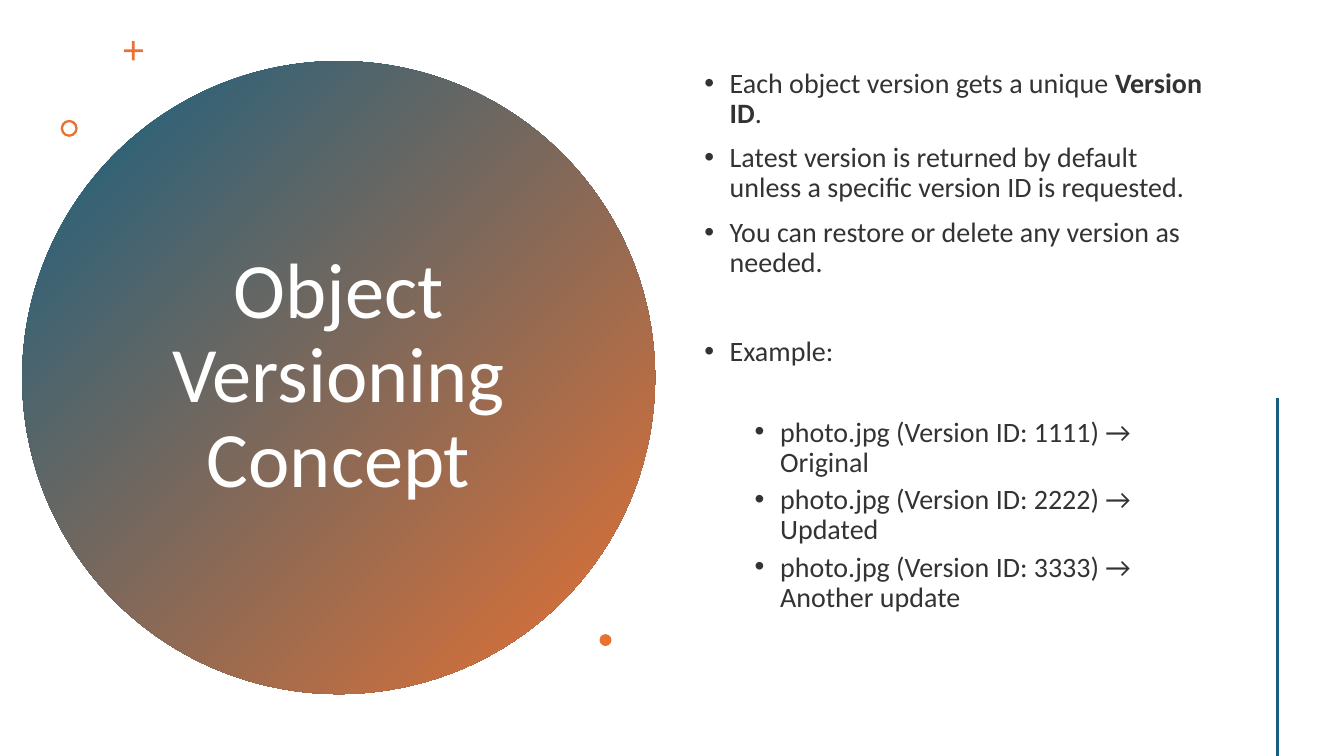
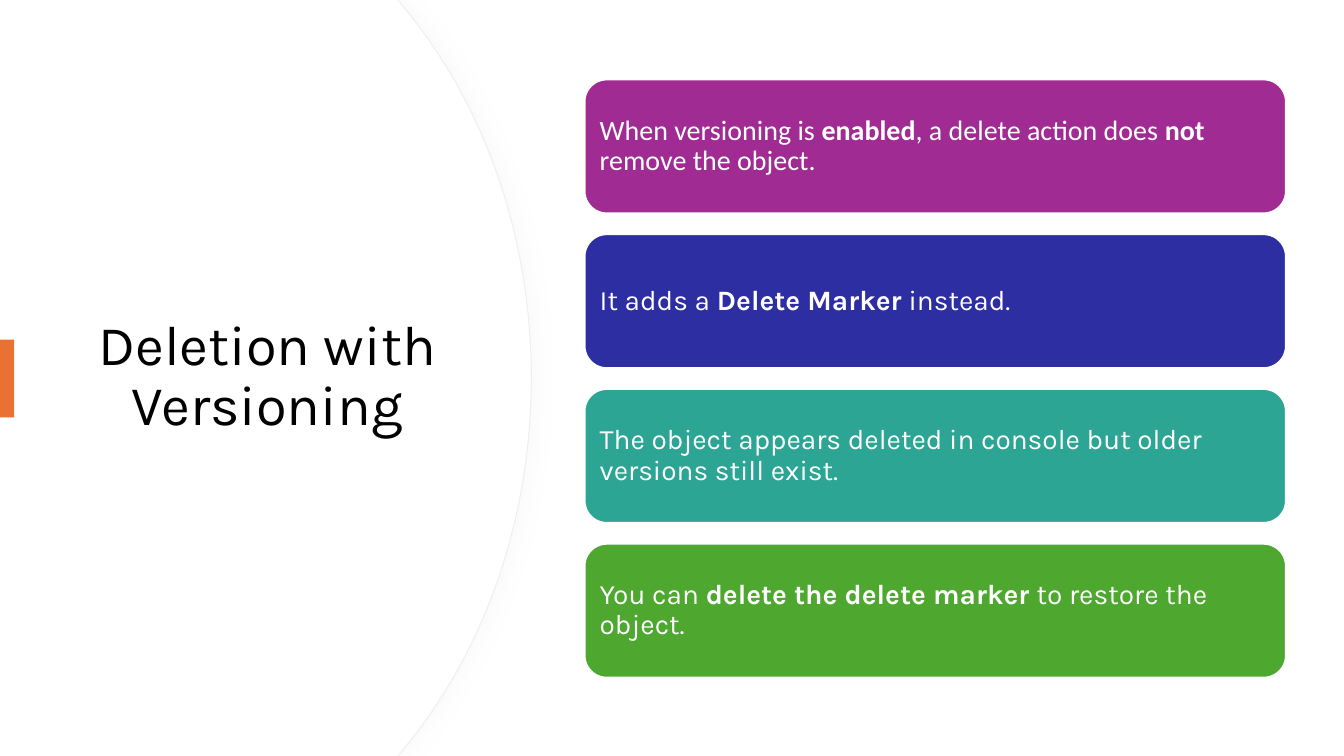
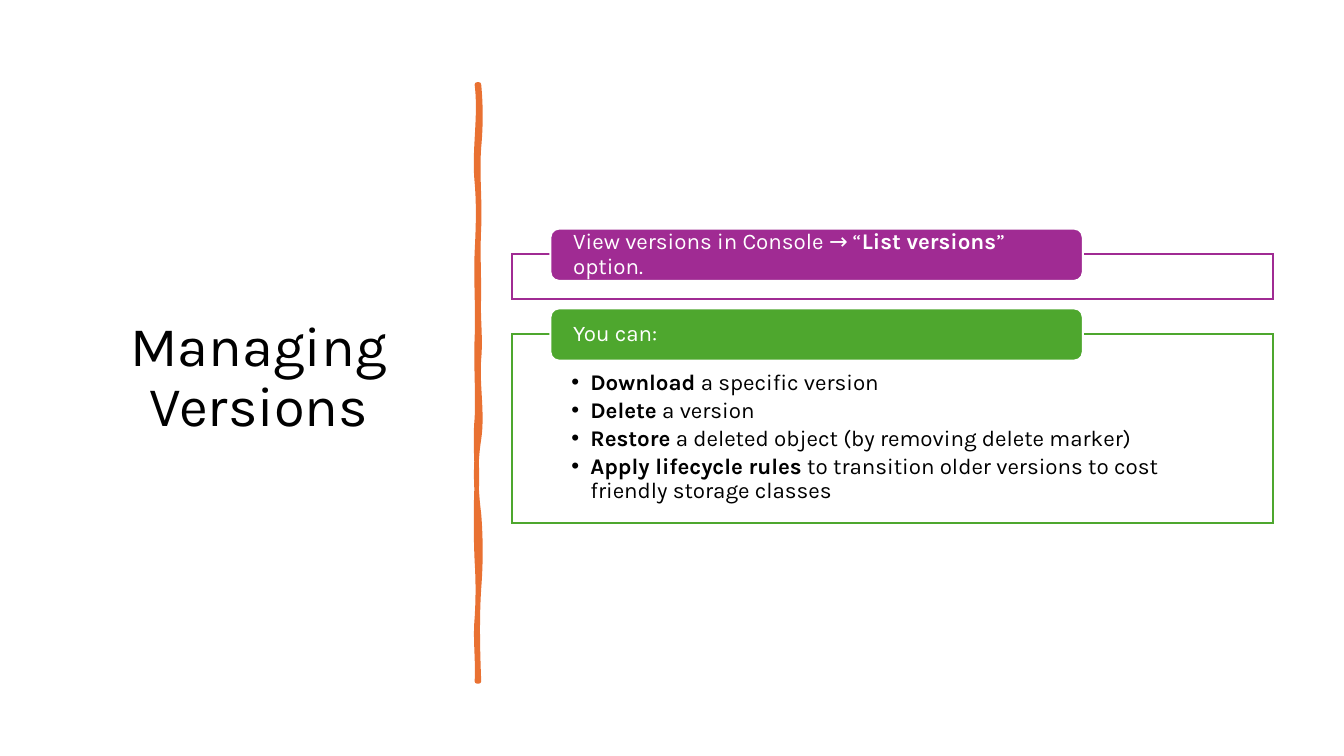
from lxml.etree import SubElement
from pptx import Presentation
from pptx.dml.color import RGBColor
from pptx.enum.shapes import MSO_CONNECTOR, MSO_SHAPE
from pptx.enum.text import MSO_ANCHOR, PP_ALIGN
from pptx.oxml.ns import qn
from pptx.util import Cm, Pt

COLORS = {
    "white": "FFFFFF", "black": "000000", "body": "333333",
    "blue": "156082", "orange": "E97132", "purple": "A02B93",
    "indigo": "2C2EA2", "teal": "2DA594", "green": "4EA72E",
    "edge": "EFEFEF", "shade": "D9D9D9",
}
WIDTH, HEIGHT = 33.87, 19.05

CONCEPT_TITLE = "Object Versioning Concept"
CONCEPT_POINTS = [
    ("Each object version gets a unique **Version ID**.", 0, 0),
    ("Latest version is returned by default unless a specific version ID is requested.", 0, 10),
    ("You can restore or delete any version as needed.", 0, 10),
    ("Example:", 0, 42),
    ("photo.jpg (Version ID: 1111) → Original", 1, 36),
    ("photo.jpg (Version ID: 2222) → Updated", 1, 5),
    ("photo.jpg (Version ID: 3333) → Another update", 1, 5),
]

DELETION_TITLE = "Deletion with Versioning"
DELETION_CARDS = [
    ("When versioning is **enabled**, a delete action does **not** remove the object.", "purple", "Calibri"),
    ("It adds a **Delete Marker** instead.", "indigo", "Karla"),
    ("The object appears deleted in console but older versions still exist.", "teal", "Karla"),
    ("You can **delete the delete marker** to restore the object.", "green", "Karla"),
]
ARC_START = (10.19, 0.2)
ARC_CURVE = [(12.17, 2.59), (13.39, 5.89), (13.39, HEIGHT / 2)]

MANAGING_TITLE = "Managing Versions"
MANAGING_GROUPS = [
    ("View versions in Console → “**List versions**” option.", "purple", 6.41, 1.13, []),
    ("You can:", "green", 8.42, 4.76, [
        "**Download** a specific version",
        "**Delete** a version",
        "**Restore** a deleted object (by removing delete marker)",
        "**Apply lifecycle rules** to transition older versions to cost friendly storage classes",
    ]),
]
BRUSH_TOP, BRUSH_BOTTOM = 2.13, 17.17
BRUSH_EDGES = [
    (12.07, BRUSH_TOP, [
        (0.05, 0.05, 3.71), (-0.05, 0.03, 5.74), (-0.03, 0, 7.47), (-0.03, 0.05, 9.04),
        (-0.05, 0.1, 11.07), (-0.1, -0.08, 12.95), (0.05, 0.05, 14.83), (-0.05, -0.03, BRUSH_BOTTOM),
    ]),
    (12.02, BRUSH_BOTTOM, [
        (0.03, -0.05, 15.57), (0.03, 0.03, 14.15), (-0.03, -0.03, 12.12), (0, -0.05, 10.54),
        (0.03, -0.03, 8.51), (0.03, -0.03, 6.35), (0.03, 0.05, 4.6), (-0.08, 0.1, BRUSH_TOP),
    ]),
]


def rgb(name):
    return RGBColor.from_string(COLORS[name])


def paint(shape, fill, line=None, width=1.5, join="a:miter"):
    shape.shadow.inherit = False
    shape.fill.solid()
    shape.fill.fore_color.rgb = rgb(fill)
    if line:
        shape.line.color.rgb = rgb(line)
        shape.line.width = Pt(width)
        SubElement(shape._element.spPr.find(qn("a:ln")), qn(join))
    else:
        shape.line.fill.background()
    return shape


def add_block(slide, kind, box, fill, line=None):
    return paint(slide.shapes.add_shape(kind, *map(Cm, box)), fill, line)


def add_outline(slide, start, segments, *style):
    builder = slide.shapes.build_freeform(Cm(start[0]), Cm(start[1]))
    for segment in segments:
        builder.add_line_segments([(Cm(x), Cm(y)) for x, y in segment], close=False)
    builder.add_line_segments([], close=True)
    shape = builder.convert_to_shape()
    lines = iter(list(shape._element.iter(qn("a:lnTo"))))
    for segment in segments:
        steps = [next(lines) for point in segment]
        if len(steps) == 3:
            curve = steps[0].makeelement(qn("a:cubicBezTo"))
            steps[0].addprevious(curve)
            for step in steps:
                curve.append(step[0])
                step.getparent().remove(step)
    return paint(shape, *style)


def set_frame(shape, anchor, margins):
    frame = shape.text_frame
    frame.word_wrap = True
    frame.vertical_anchor = anchor
    frame.margin_left, frame.margin_top, frame.margin_right, frame.margin_bottom = map(Cm, margins)
    return frame


def add_bullet(paragraph, left, hang):
    props = paragraph._p.get_or_add_pPr()
    props.set("marL", str(Cm(left)))
    props.set("indent", str(-Cm(hang)))
    SubElement(props, qn("a:buFont")).set("typeface", "Arial")
    SubElement(props, qn("a:buChar")).set("char", "•")


def write(paragraph, text, font, size, color, align=PP_ALIGN.LEFT, before=0, after=0):
    paragraph.alignment = align
    paragraph.line_spacing = 0.9
    paragraph.space_before = Pt(before)
    paragraph.space_after = Pt(after)
    for index, part in enumerate(text.split("**")):
        if part:
            run = paragraph.add_run()
            run.text = part
            run.font.name = font
            run.font.size = Pt(size)
            run.font.bold = index % 2 == 1
            run.font.color.rgb = rgb(color)


def paragraphs_of(frame, items):
    for index, item in enumerate(items):
        yield frame.paragraphs[0] if index == 0 else frame.add_paragraph(), item


def add_title(slide, text, box, font="Karla", size=40, color="black"):
    title = slide.shapes.add_textbox(*map(Cm, box))
    frame = set_frame(title, MSO_ANCHOR.MIDDLE, (0.25, 0.13, 0.25, 0.13))
    write(frame.paragraphs[0], text, font, size, color, PP_ALIGN.CENTER)


def build_concept(slide):
    disc = add_block(slide, MSO_SHAPE.OVAL, (0.56, 1.54, 15.95, 15.95), "blue")
    disc.fill.gradient()
    disc.fill.gradient_angle = 315
    for stop, name in zip(disc.fill.gradient_stops, ("blue", "orange")):
        stop.color.rgb = rgb(name)
    add_title(slide, CONCEPT_TITLE, (3.47, 3.58, 10.13, 11.86), "Calibri", 56, "white")

    plus = add_block(slide, MSO_SHAPE.CROSS, (3.12, 1.04, 0.48, 0.48), "orange")
    plus.adjustments[0] = 0.43
    ring = add_block(slide, MSO_SHAPE.DONUT, (1.53, 3.02, 0.43, 0.43), "orange")
    ring.adjustments[0] = 0.14
    add_block(slide, MSO_SHAPE.OVAL, (15.11, 15.98, 0.3, 0.3), "orange")

    points = slide.shapes.add_textbox(*map(Cm, (17.5, 1.61, 13.26, 15)))
    frame = set_frame(points, MSO_ANCHOR.TOP, (0.25, 0.13, 0.25, 0.13))
    for paragraph, (text, level, before) in paragraphs_of(frame, CONCEPT_POINTS):
        add_bullet(paragraph, 0.64 + 1.27 * level, 0.64)
        write(paragraph, text, "Calibri", 20, "body", before=before)

    rule = slide.shapes.add_connector(MSO_CONNECTOR.STRAIGHT, Cm(32.19), Cm(10.02), Cm(32.19), Cm(HEIGHT))
    rule.line.color.rgb = rgb("blue")
    rule.line.width = Pt(2.25)
    SubElement(rule._element.spPr, qn("a:effectLst"))


def build_deletion(slide):
    for shift, edge in ((0, "edge"), (0.03, None)):
        start = (ARC_START[0] - shift, ARC_START[1])
        upper = [(x - shift, y) for x, y in ARC_CURVE]
        lower = [(x, HEIGHT - y) for x, y in (upper[1], upper[0], start)]
        segments = [[(10.01, 0)], [start], upper, lower, [(10.01, HEIGHT)], [(0, HEIGHT)]]
        panel = add_outline(slide, (0, 0), segments, "white", edge, 0.75)
        if edge:
            effects = panel._element.spPr.find(qn("a:effectLst"))
            shadow = SubElement(effects, qn("a:outerShdw"), blurRad=str(Pt(14)), dist=str(Pt(3)), dir="0", algn="l")
            shade = SubElement(shadow, qn("a:srgbClr"), val=COLORS["shade"])
            SubElement(shade, qn("a:alpha"), val="15000")

    add_title(slide, DELETION_TITLE, (1.73, 3.23, 10.01, 12.57))
    add_block(slide, MSO_SHAPE.RECTANGLE, (0, 8.56, 0.36, 1.96), "orange")
    for row, (text, color, font) in enumerate(DELETION_CARDS):
        card = add_block(slide, MSO_SHAPE.ROUNDED_RECTANGLE, (14.73, 2 + 3.9 * row, 17.68, 3.38), color, "white")
        frame = set_frame(card, MSO_ANCHOR.MIDDLE, (0.22, 0.2, 0.2, 0.2))
        write(frame.paragraphs[0], text, font, 20, "white")


def build_managing(slide):
    add_title(slide, MANAGING_TITLE, (1.77, 1.78, 9.5, 15.52))
    stroke = []
    for x, y, bends in BRUSH_EDGES:
        stroke.append([(x, y)])
        for first, second, end in bends:
            third = (end - y) / 3
            stroke.append([(x + first, y + third), (x + second, end - third), (x, end)])
            y = end
    add_outline(slide, stroke[0][0], stroke[1:], "orange", "orange", 3.25, "a:round")

    for heading, color, top, height, actions in MANAGING_GROUPS:
        panel = add_block(slide, MSO_SHAPE.RECTANGLE, (12.9, top, 19.18, height), "white", color)
        frame = set_frame(panel, MSO_ANCHOR.TOP, (1.5, 0.94, 1.5, 0.3))
        for paragraph, action in paragraphs_of(frame, actions):
            add_bullet(paragraph, 0.48, 0.48)
            write(paragraph, action, "Karla", 16, "black", after=2.6)
        tab = add_block(slide, MSO_SHAPE.ROUNDED_RECTANGLE, (13.87, top - 0.65, 13.42, 1.32), color, "white")
        label = set_frame(tab, MSO_ANCHOR.MIDDLE, (0.51, 0, 0.51, 0))
        write(label.paragraphs[0], heading, "Karla", 16, "white")


def main():
    deck = Presentation()
    deck.slide_width, deck.slide_height = Cm(WIDTH), Cm(HEIGHT)
    for build in (build_concept, build_deletion, build_managing):
        build(deck.slides.add_slide(deck.slide_layouts[6]))
    deck.save("out.pptx")


if __name__ == "__main__":
    main()
